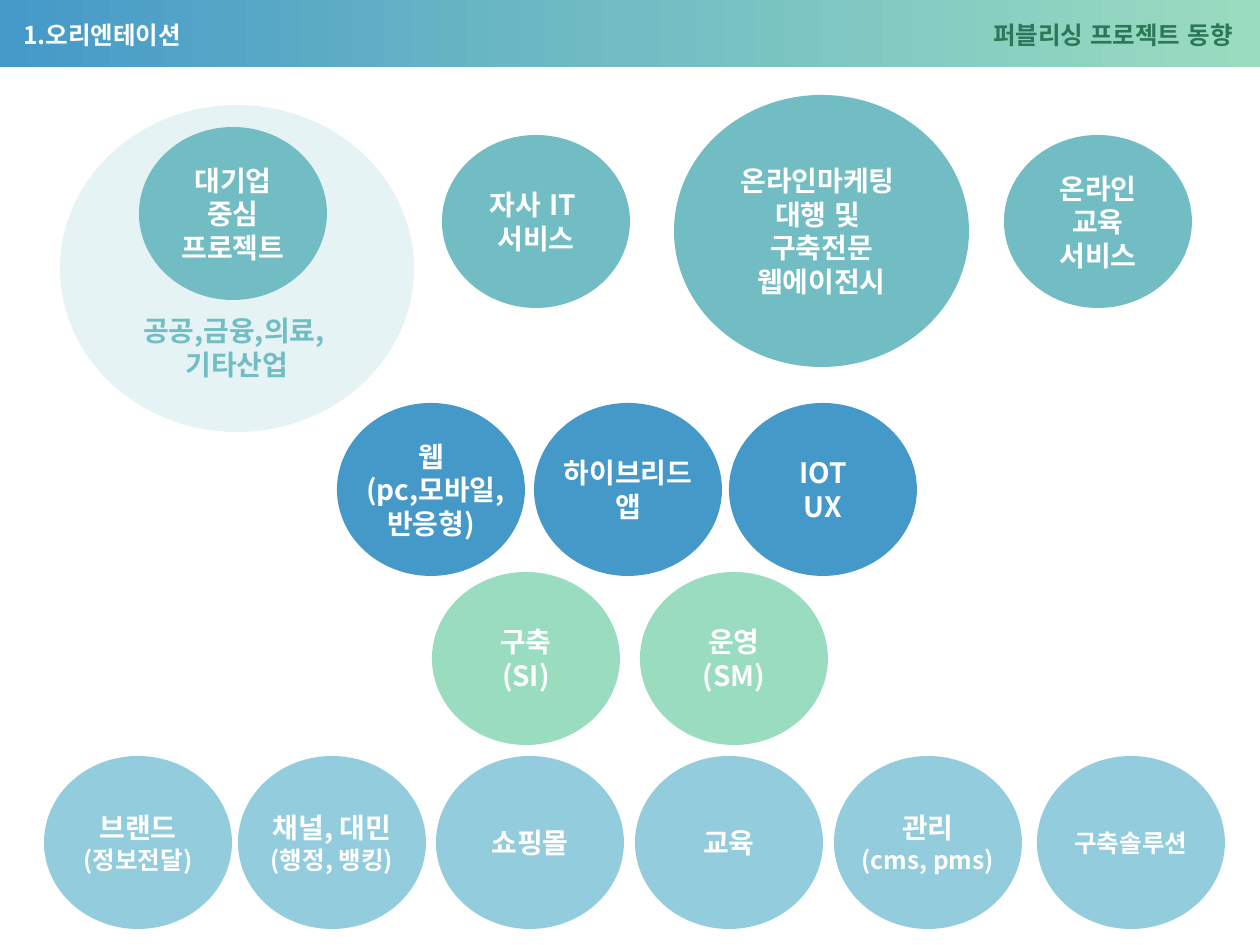
from copy import deepcopy

from lxml.etree import SubElement
from pptx import Presentation
from pptx.dml.color import RGBColor
from pptx.enum.lang import MSO_LANGUAGE_ID
from pptx.enum.shapes import MSO_SHAPE
from pptx.enum.text import MSO_ANCHOR, MSO_AUTO_SIZE, PP_ALIGN
from pptx.oxml.ns import qn
from pptx.util import Emu, Pt

FONT = "Noto Sans CJK KR"
SCALE = 914400 // 126
COLORS = {"blue": "4599C8", "teal": "72BDC3", "mint": "9ADCC0",
          "sky": "93CDDD", "green": "2A7857", "white": "FFFFFF"}

TITLE = "1.오리엔테이션"
SUBTITLE = "퍼블리싱 프로젝트 동향"
INDUSTRIES = ["공공,금융,의료, ", "기타산업"]
CIRCLE = (188, 173)
AGENCY = (295, 272)

# Each row: fill, then circles as (left, top, size, lines, text sizes)
ROWS = [
    ("teal", [
        (139, 127, CIRCLE, ["대기업 중심 프로젝트"], [16]),
        (442, 135, CIRCLE, ["자사 IT ", "서비스"], [16, 16]),
        (674, 95, AGENCY, ["온라인마케팅 ", "대행 및 ", "구축전문", "웹에이전시"], [16] * 4),
        (1004, 135, CIRCLE, ["온라인", "교육", "서비스"], [16] * 3)]),
    ("blue", [
        (337, 403, CIRCLE, ["웹", "(pc,모바일,반응형)"], [16, 16]),
        (534, 403, CIRCLE, ["하이브리드앱"], [16]),
        (729, 403, CIRCLE, ["IOT", "UX"], [16, 16])]),
    ("mint", [
        (432, 572, CIRCLE, ["구축", "(SI)"], [16, 16]),
        (640, 572, CIRCLE, ["운영", "(SM)"], [16, 16])]),
    ("sky", [
        (44, 756, CIRCLE, ["브랜드", "(정보전달)"], [16, 14]),
        (238, 756, CIRCLE, ["채널, 대민", "(행정, 뱅킹)"], [16, 14]),
        (436, 756, CIRCLE, ["쇼핑몰"], [16]),
        (635, 756, CIRCLE, ["교육"], [16]),
        (834, 756, CIRCLE, ["관리", "(cms, pms)"], [16, 14]),
        (1037, 756, CIRCLE, ["구축솔루션"], [14])]),
]


def px(value):
    """Turn pixels into EMU."""
    return Emu(value * SCALE)


def rgb(name):
    """Look up a colour by name."""
    return RGBColor.from_string(COLORS[name])


def write(shape, lines, sizes, color="white", align=PP_ALIGN.CENTER, insets=(0, 6, 0, 6)):
    """Fill a shape with bold paragraphs in one colour."""
    frame = shape.text_frame
    frame.word_wrap = True
    frame.auto_size = MSO_AUTO_SIZE.NONE
    frame.vertical_anchor = MSO_ANCHOR.MIDDLE
    (frame.margin_left, frame.margin_top,
     frame.margin_right, frame.margin_bottom) = map(px, insets)
    for index, (line, size) in enumerate(zip(lines, sizes)):
        para = frame.add_paragraph() if index else frame.paragraphs[0]
        para.alignment = align
        span = para.add_run()
        span.text = line
        font = span.font
        font.size, font.bold, font.name = Pt(size), True, FONT
        font.color.rgb = rgb(color)
        font.language_id = MSO_LANGUAGE_ID.KOREAN
        SubElement(span._r.get_or_add_rPr(), qn("a:ea"), typeface=FONT)


def add_plain(page, kind, left, top, width, height):
    """Add a preset shape without line or shadow."""
    shape = page.shapes.add_shape(kind, px(left), px(top), px(width), px(height))
    shape.shadow.inherit = False
    shape.line.fill.background()
    return shape


def add_circle(page, left, top, size, fill):
    """Add an ellipse with a solid fill."""
    circle = add_plain(page, MSO_SHAPE.OVAL, left, top, *size)
    circle.fill.solid()
    circle.fill.fore_color.rgb = rgb(fill)
    return circle


def add_header(page):
    """Draw the gradient band with the title and the subtitle."""
    band = add_plain(page, MSO_SHAPE.RECTANGLE, 0, 0, 1260, 67)
    band.fill.gradient()
    band.fill.gradient_angle = 0
    stops = band._element.spPr.find(".//" + qn("a:gsLst"))
    stops.insert(1, deepcopy(stops[0]))
    for index, (stop, name) in enumerate(zip(band.fill.gradient_stops, ("blue", "teal", "mint"))):
        stop.position = index / 2
        stop.color.rgb = rgb(name)

    title = page.shapes.title
    title.left, title.top, title.width, title.height = map(px, (10, 6, 581, 58))
    page.shapes._spTree.append(title._element)
    subtitle = page.shapes.add_textbox(*map(px, (689, 6, 557, 58)))
    margins = (13, 6, 13, 6)
    write(title, [TITLE], [14], align=PP_ALIGN.LEFT, insets=margins)
    write(subtitle, [SUBTITLE], [14], color="green", align=PP_ALIGN.RIGHT, insets=margins)


def main():
    """Build the slide and save it."""
    deck = Presentation()
    deck.slide_width, deck.slide_height = px(1260), px(945)
    page = deck.slides.add_slide(deck.slide_layouts[5])
    add_header(page)

    halo = add_circle(page, 60, 105, (354, 327), "teal")
    tint = halo._element.spPr.find(".//" + qn("a:srgbClr"))
    SubElement(tint, qn("a:alpha"), val="18000")
    write(halo, INDUSTRIES, [16, 16], color="teal", insets=(0, 164, 0, 6))

    for fill, circles in ROWS:
        for left, top, size, lines, sizes in circles:
            write(add_circle(page, left, top, size, fill), lines, sizes)
    deck.save("out.pptx")


main()
